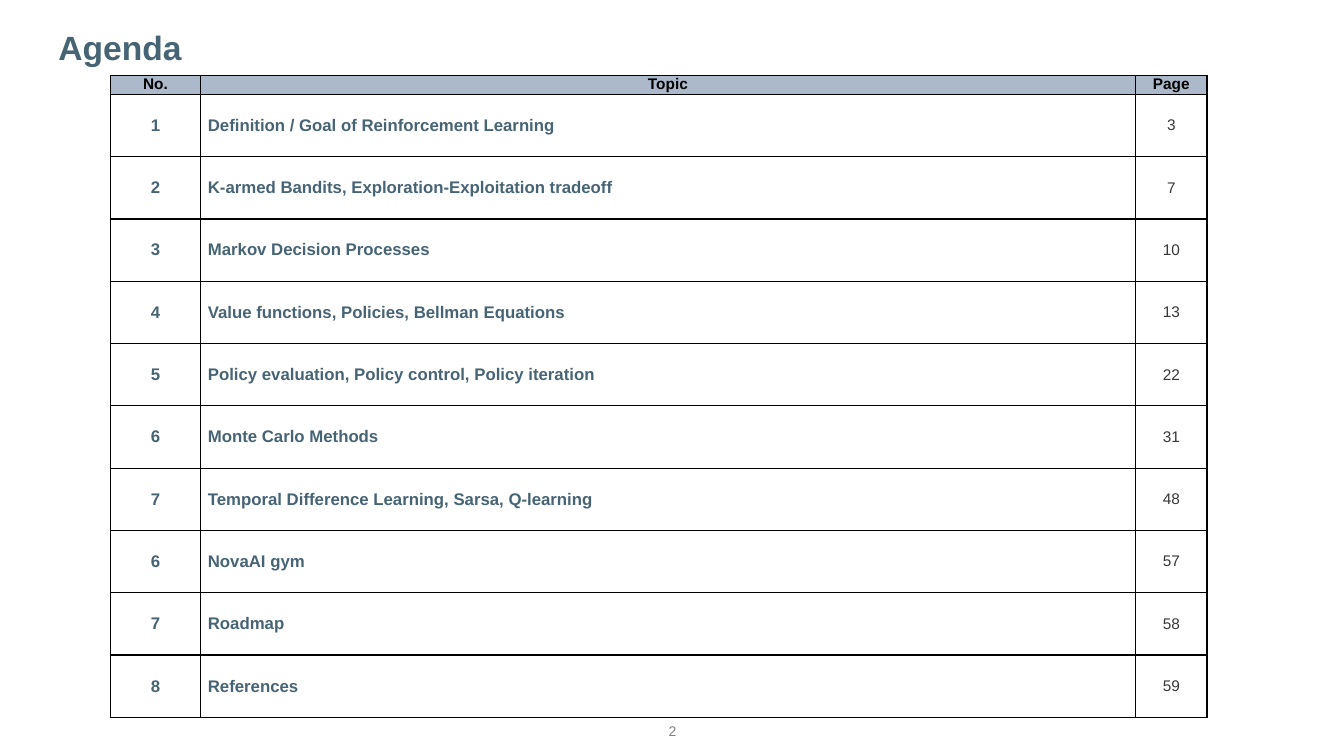
from lxml import etree
from pptx import Presentation
from pptx import util as u
from pptx.dml.color import RGBColor
from pptx.enum import text
from pptx.oxml import ns

TOPICS = [
    ("1", "Definition / Goal of Reinforcement Learning", "3"),
    ("2", "K-armed Bandits, Exploration-Exploitation tradeoff", "7"),
    ("3", "Markov Decision Processes", "10"),
    ("4", "Value functions, Policies, Bellman Equations", "13"),
    ("5", "Policy evaluation, Policy control, Policy iteration", "22"),
    ("6", "Monte Carlo Methods", "31"),
    ("7", "Temporal Difference Learning, Sarsa, Q-learning", "48"),
    ("6", "NovaAI gym", "57"),
    ("7", "Roadmap", "58"),
    ("8", "References", "59"),
]
LEFT, CENTER = text.PP_ALIGN.LEFT, text.PP_ALIGN.CENTER
TOP, MIDDLE, BOTTOM = (text.MSO_ANCHOR.TOP, text.MSO_ANCHOR.MIDDLE,
                       text.MSO_ANCHOR.BOTTOM)


def color(value):
    return RGBColor.from_string(value)


class AgendaPage:
    font = "Arial"
    slate, gray, dark, black = "476475", "808080", "37373A", "000000"
    header_fill, body_fill = "ACB9CA", "FFFFFF"

    def __init__(self, deck):
        self.page = deck.slides.add_slide(deck.slide_layouts[5])

    def set_words(self, frame, words, size, tint, bold=False, align=LEFT):
        frame.text = words
        para = frame.paragraphs[0]
        para.alignment = align
        for span in para.runs:
            span.font.name = self.font
            span.font.size = u.Pt(size)
            span.font.bold = bold
            span.font.color.rgb = color(tint)
        return para

    def frame_without_margins(self, box, anchor):
        frame = box.text_frame
        frame.margin_left = frame.margin_right = 0
        frame.margin_top = frame.margin_bottom = 0
        frame.vertical_anchor = anchor
        frame.word_wrap = True
        return frame

    def title(self, words, left, top, width, height):
        box = self.page.shapes.title
        box.left, box.top = u.Cm(left), u.Cm(top)
        box.width, box.height = u.Cm(width), u.Cm(height)
        frame = self.frame_without_margins(box, TOP)
        frame.auto_size = text.MSO_AUTO_SIZE.NONE
        para = self.set_words(frame, words, 24, self.slate, True)
        para.line_spacing = 0.9

    def page_number(self, words, left, top, width, height):
        box = self.page.shapes.add_textbox(
            u.Cm(left), u.Cm(top), u.Cm(width), u.Cm(height))
        frame = self.frame_without_margins(box, BOTTOM)
        self.set_words(frame, words, 10, self.gray, align=CENTER)

    def borders(self, cell):
        """Draw a thin black line on all four sides of the cell."""
        props = cell._tc.get_or_add_tcPr()
        for index, side in enumerate(("lnL", "lnR", "lnT", "lnB")):
            line = etree.Element(ns.qn("a:" + side), w=str(u.Pt(1)))
            fill = etree.SubElement(line, ns.qn("a:solidFill"))
            etree.SubElement(fill, ns.qn("a:srgbClr"), val=self.black)
            props.insert(index, line)

    def cell(self, cell, words, fill, anchor, **style):
        cell.margin_left = cell.margin_right = u.Cm(0.19)
        cell.margin_top = cell.margin_bottom = 0
        cell.vertical_anchor = anchor
        cell.fill.solid()
        cell.fill.fore_color.rgb = color(fill)
        self.set_words(cell.text_frame, words, **style)
        self.borders(cell)

    def table(self, header, rows, left, top, widths, header_height, row_height):
        height = header_height + row_height * len(rows)
        table = self.page.shapes.add_table(
            len(rows) + 1, len(header), u.Cm(left), u.Cm(top),
            u.Cm(sum(widths)), u.Cm(height)).table
        table.horz_banding = False
        for column, width in zip(table.columns, widths):
            column.width = u.Cm(width)
        for index, row in enumerate(table.rows):
            row.height = u.Cm(row_height if index else header_height)

        for column, words in enumerate(header):
            self.cell(table.cell(0, column), words, self.header_fill, TOP,
                      size=11, tint=self.black, bold=True, align=CENTER)
        styles = [
            dict(size=12, tint=self.slate, bold=True, align=CENTER),
            dict(size=12, tint=self.slate, bold=True, align=LEFT),
            dict(size=11, tint=self.dark, bold=False, align=CENTER),
        ]
        for row, entry in enumerate(rows, start=1):
            for column, (words, style) in enumerate(zip(entry, styles)):
                self.cell(table.cell(row, column), words, self.body_fill,
                          MIDDLE, **style)


def main():
    deck = Presentation()
    deck.slide_width, deck.slide_height = u.Cm(33.87), u.Cm(19.05)
    agenda = AgendaPage(deck)
    agenda.page_number("2", 16.41, 18.21, 1.07, 0.43)
    agenda.title("Agenda", 1.47, 0.79, 30.38, 1.85)
    agenda.table(("No.", "Topic", "Page"), TOPICS, 2.79, 1.91,
                 (2.26, 23.57, 1.8), 0.45, 1.57)
    deck.save("out.pptx")


if __name__ == "__main__":
    main()
